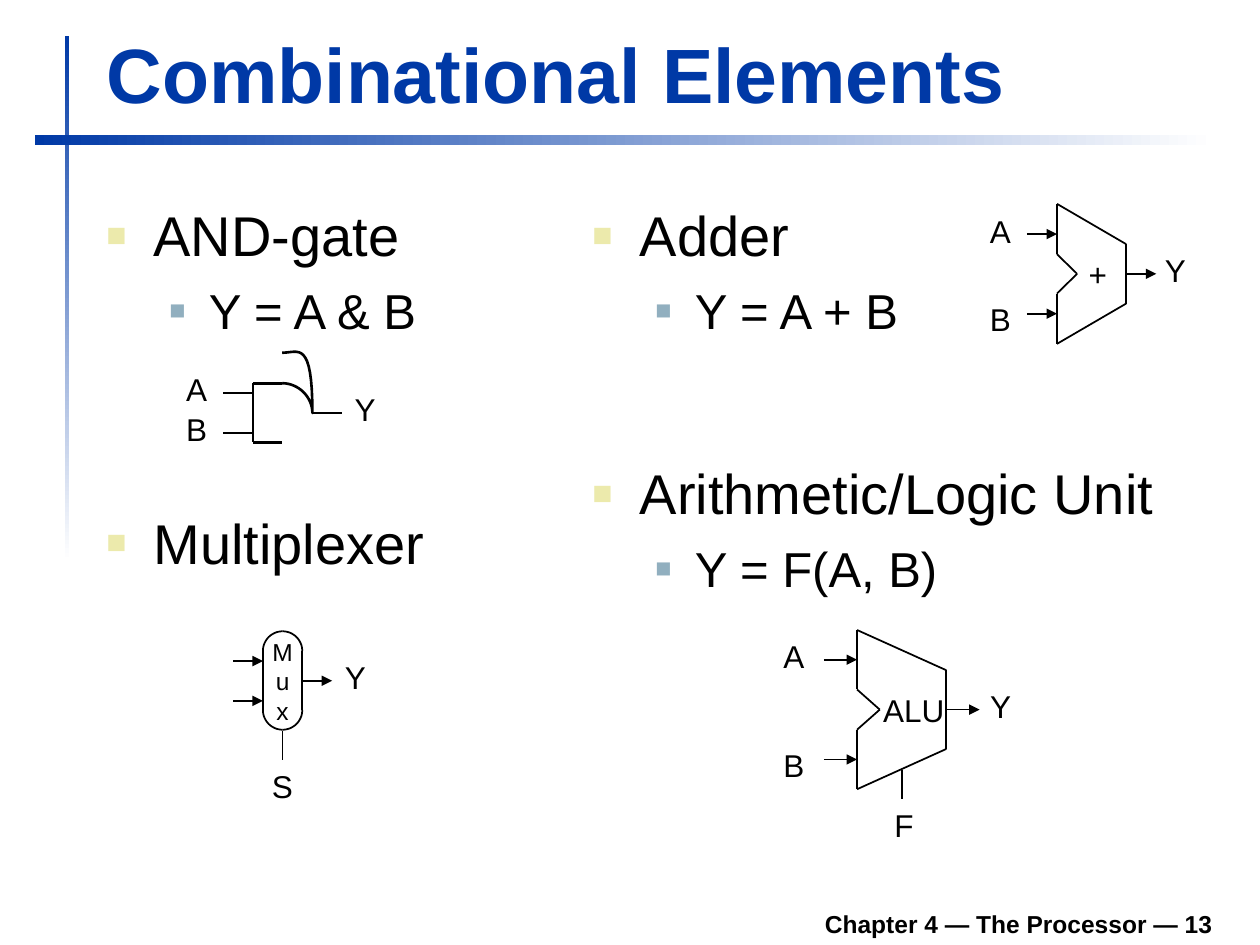
from lxml.etree import SubElement as Sub
from pptx import Presentation
from pptx.dml.color import RGBColor as Rgb
from pptx.enum.shapes import MSO_CONNECTOR as Conn, MSO_SHAPE as Shape
from pptx.enum.text import MSO_ANCHOR as Anchor, MSO_AUTO_SIZE as Auto, PP_ALIGN as Align
from pptx.oxml.ns import qn
from pptx.util import Pt

COLORS = {
    "blue": "0039A6",
    "black": "000000",
    "white": "FFFFFF",
    "sand": "ECEAAC",
    "steel": "91AFBF",
}
# Per bullet level: size, indent, hang, space before, bullet colour, bullet percent
LEVELS = [(32, 27, 27, 8, "sand", 60), (28, 58.5, 22.5, 7, "steel", 55)]
ROUND = 0.55  # handle length of a quarter circle


def rgb(name):
    return Rgb.from_string(COLORS[name])


def write(par, text, size=18, color="black", bold=False, align=Align.LEFT):
    par.text = text
    par.alignment = align
    for run in par.runs:
        font = run.font
        font.name, font.size, font.bold = "Arial", Pt(size), bold
        font.color.rgb = rgb(color)


def pad(frame, *sides):
    (frame.margin_left, frame.margin_top,
     frame.margin_right, frame.margin_bottom) = map(Pt, sides)


def add_box(slide, x, y, w, h, wrap=True):
    frame = slide.shapes.add_textbox(Pt(x), Pt(y), Pt(w), Pt(h)).text_frame
    frame.word_wrap = wrap
    return frame


def add_label(slide, text, x, y, w=26, inset=True):
    frame = add_box(slide, x, y, w, 29 if inset else 21.6, wrap=False)
    if not inset:
        pad(frame, 0, 0, 0, 0)
    write(frame.paragraphs[0], text)


def add_list(slide, x, y, w, *items):
    frame = add_box(slide, x, y, w, 102)
    for level, text in enumerate(items):
        size, indent, hang, gap, color, percent = LEVELS[level]
        par = frame.add_paragraph() if level else frame.paragraphs[0]
        write(par, text, size=size)
        par.level = level
        par.space_before = Pt(gap)
        props = par._p.get_or_add_pPr()
        props.set("marL", str(Pt(indent)))
        props.set("indent", str(-Pt(hang)))
        Sub(Sub(props, qn("a:buClr")), qn("a:srgbClr"), val=COLORS[color])
        Sub(props, qn("a:buSzPct"), val=str(percent * 1000))
        Sub(props, qn("a:buFont"), typeface="Arial")
        Sub(props, qn("a:buChar"), char="■")


def add_line(slide, x1, y1, x2, y2, width=1, arrow=False):
    line = slide.shapes.add_connector(Conn.STRAIGHT, Pt(x1), Pt(y1), Pt(x2), Pt(y2))
    line.line.color.rgb = rgb("black")
    line.line.width = Pt(width)
    props = line.element.spPr
    if arrow:
        Sub(props.find(qn("a:ln")), qn("a:tailEnd"), type="triangle")
    Sub(props, qn("a:effectLst"))


def add_curve(slide, points, width=1):
    dots = [(Pt(x), Pt(y)) for x, y in points]
    form = slide.shapes.build_freeform(*dots[0], scale=1.0)
    form.add_line_segments(dots[1:], close=False)
    curve = form.convert_to_shape()
    curve.shadow.inherit = False
    curve.fill.background()
    curve.line.color.rgb = rgb("black")
    curve.line.width = Pt(width)


def bend(a, b, c, d, steps=16):
    """Points along a cubic curve."""
    for i in range(steps + 1):
        t = i / steps
        s = 1 - t
        yield tuple(s**3 * p + 3 * s * s * t * q + 3 * s * t * t * r + t**3 * e
                    for p, q, r, e in zip(a, b, c, d))


def add_bar(slide, x, y, w, h, angle):
    bar = slide.shapes.add_shape(Shape.RECTANGLE, Pt(x), Pt(y), Pt(w), Pt(h))
    bar.shadow.inherit = False
    bar.line.fill.background()
    bar.fill.gradient()
    bar.fill.gradient_angle = angle
    for stop, place, color in zip(bar.fill.gradient_stops, (0, 1), ("blue", "white")):
        stop.position = place
        stop.color.rgb = rgb(color)


def add_gate(slide):
    left, mid, right = 144.5, 161.25, 178.5
    top, tip, base = 219, 236, 252.75
    curve = [*bend((mid, top), (170.5, top), (right, 226.8), (right, tip)),
             *bend((right, tip), (right, 193.7), (170.5, 201.6), (mid, 201.6))]
    add_curve(slide, curve, width=1.5)
    for y in (top, base):
        add_line(slide, left, y, mid, y, width=1.5)
    add_line(slide, left, top, left, base)
    for y in (224.5, 247.5):
        add_line(slide, left - 17, y, left, y)
    add_line(slide, right, tip, right + 17, tip)
    for text, x, y in (("A", 99.25, 208), ("B", 99.25, 230.5), ("Y", 195.5, 219.5)):
        add_label(slide, text, x, y)


def add_mux(slide):
    mid, rad, top, base = 161.5, 11.25, 360.75, 417
    left, right = mid - rad, mid + rad
    # Quarter arcs and sides of the pill
    for side in (-rad, rad):
        x = mid + side
        for y, turn in ((top, rad), (base, -rad)):
            add_curve(slide, bend((mid, y), (mid + side * ROUND, y),
                                  (x, y + turn * (1 - ROUND)), (x, y + turn)))
        add_line(slide, x, top + rad, x, base - rad)
    frame = add_box(slide, left, top, 2 * rad, 53.5)
    pad(frame, 0, 3.25, 0, 0)
    write(frame.paragraphs[0], "M\nu\nx", size=14, align=Align.CENTER)
    for y in (377.75, 400.5):
        add_line(slide, left - 17, y, left, y, arrow=True)
    add_line(slide, right, 389, right + 17, 389, arrow=True)
    add_line(slide, mid, base + 17.25, mid, base + 0.5)
    add_label(slide, "Y", 190, 372.5)
    add_label(slide, "S", 148.25, 435)


def add_unit(slide, name, left, mid, wide, half, end, notch, gap, port, lead,
             in_x, name_x, out_x, drop):
    """A notched block, symmetric about the height mid."""
    right = left + wide
    spots = [(left, mid - half), (right, mid - end), (right, mid + end),
             (left, mid + half), (left, mid + gap), (left + notch, mid),
             (left, mid - gap)]
    for start, stop in zip(spots, spots[1:] + spots[:1]):
        add_line(slide, *start, *stop)
    for y in (mid - port, mid + port):
        add_line(slide, left - lead, y, left, y, arrow=True)
    add_line(slide, right, mid, right + lead, mid, arrow=True)
    for text, x, y in (("A", in_x, mid - port - 16.25),
                       ("B", in_x, mid + port - 11.5),
                       ("Y", out_x, mid - 16.75)):
        add_label(slide, text, x, y)
    add_label(slide, name, name_x, mid - drop, w=12 * len(name), inset=False)


def main():
    deck = Presentation()
    deck.slide_width, deck.slide_height = Pt(720), Pt(540)
    slide = deck.slides.add_slide(deck.slide_layouts[5])

    # Rules and title
    add_bar(slide, 37, 20.5, 2.5, 300, 270)
    add_bar(slide, 19.75, 77, 674.5, 6, 0)
    title = slide.shapes.title
    title.left, title.top, title.width, title.height = map(Pt, (53.75, 11.5, 650, 60))
    frame = title.text_frame
    frame.auto_size = Auto.NONE
    frame.vertical_anchor = Anchor.BOTTOM
    write(frame.paragraphs[0], "Combinational Elements", size=44, color="blue", bold=True)

    # Bullets
    add_list(slide, 53.75, 111.25, 244, "AND-gate", "Y = A & B")
    add_list(slide, 53.75, 287, 255, "Multiplexer")
    add_list(slide, 331.5, 111.25, 244, "Adder", "Y = A + B")
    add_list(slide, 331.5, 258.75, 340, "Arithmetic/Logic Unit", "Y = F(A, B)")

    # Circuit symbols
    add_gate(slide)
    add_mux(slide)
    add_unit(slide, "+", left=604, mid=156.5, wide=39.5, half=40, end=17, notch=11.5,
             gap=11.25, port=22.75, lead=17.25, in_x=558.5, name_x=622, out_x=658.5,
             drop=11)
    add_unit(slide, "ALU", left=489.75, mid=405.5, wide=51, half=45.5, end=22.5, notch=13,
             gap=11.5, port=28.5, lead=19, in_x=440.5, name_x=504.75, out_x=558.75,
             drop=10.75)
    add_line(slide, 515.5, 440, 515.5, 456.5)
    add_label(slide, "F", 504, 457)

    # Footer
    foot = add_box(slide, 127.5, 512, 572.5, 28)
    foot.vertical_anchor = Anchor.BOTTOM
    write(foot.paragraphs[0], "Chapter 4 — The Processor — 13", size=14, bold=True,
          align=Align.RIGHT)

    deck.save("out.pptx")


if __name__ == "__main__":
    main()
